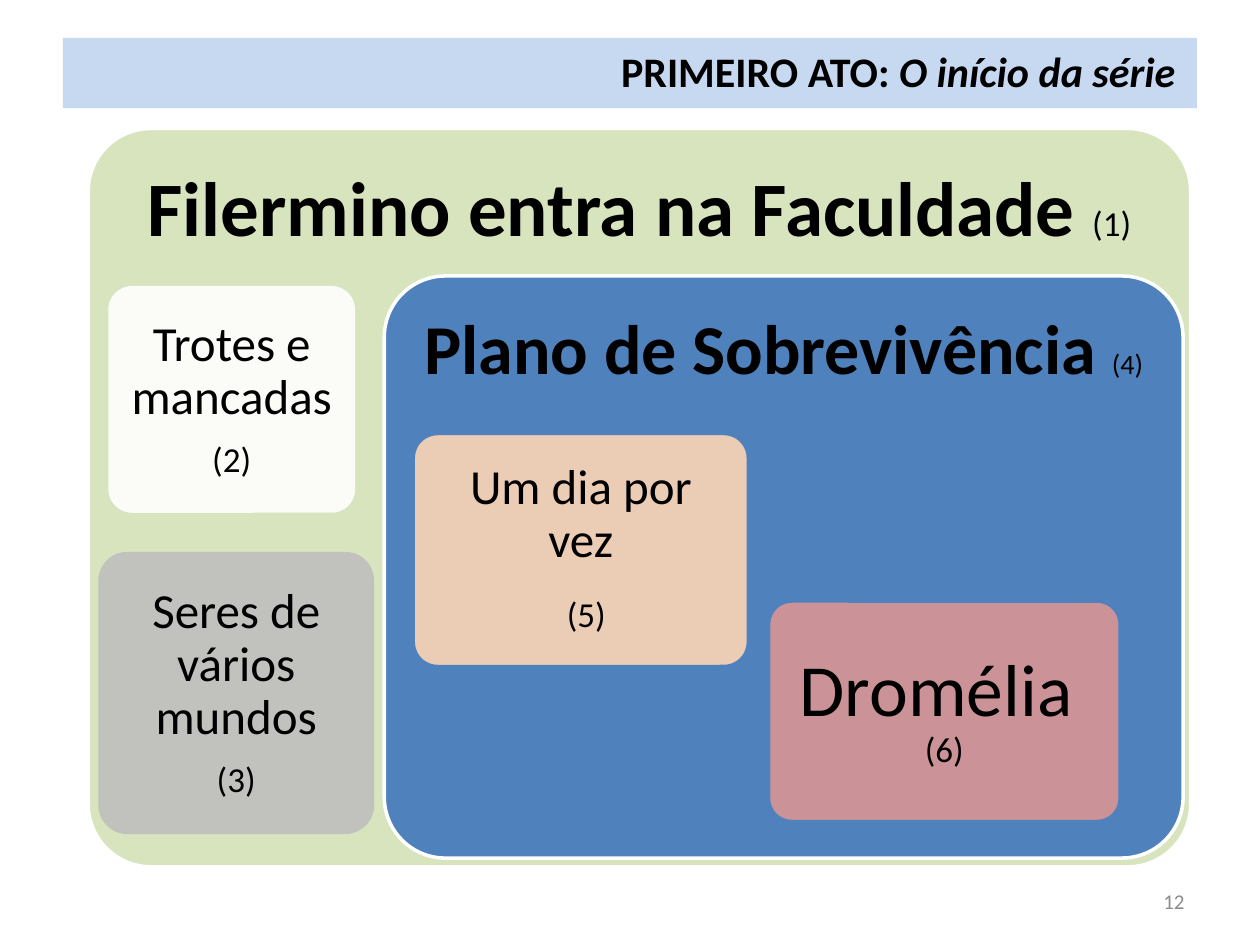
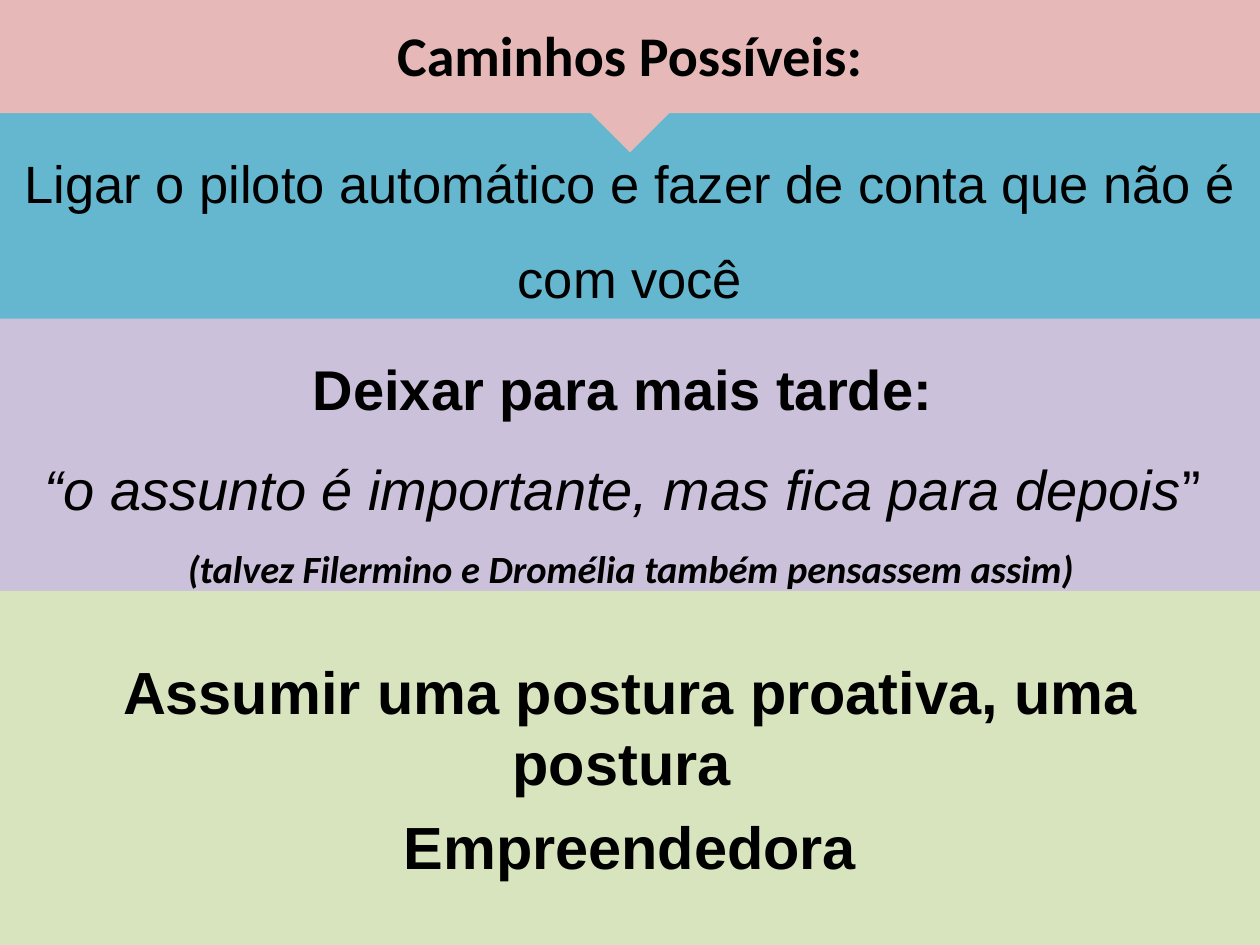
from pptx import Presentation
from pptx.dml.color import RGBColor
from pptx.enum.shapes import MSO_SHAPE as Kind
from pptx.enum.text import MSO_ANCHOR as Anchor, PP_ALIGN as Align
from pptx.oxml.ns import qn
from pptx.util import Pt
from lxml.etree import SubElement

SCALE = 9144
BLACK, WHITE, GREEN, BLUE = "000000", "FFFFFF", "D7E4BD", "4F81BD"


def px(n):
    return n * SCALE


def color(code):
    return RGBColor.from_string(code)


class Deck:
    font = "Calibri"
    wide, high = 1000, 750

    def __init__(self):
        self.prs = Presentation()
        self.prs.slide_width = px(self.wide)
        self.prs.slide_height = px(self.high)

    def page(self):
        self.slide = self.prs.slides.add_slide(self.prs.slide_layouts[6])

    def shape(self, kind, box, fill, line=None, alpha=None, adj=()):
        item = self.slide.shapes.add_shape(kind, *map(px, box))
        item.shadow.inherit = False
        item.fill.solid()
        item.fill.fore_color.rgb = color(fill)
        if alpha:
            tone = item.fill._xPr.find(qn("a:solidFill"))[0]
            SubElement(tone, qn("a:alpha")).set("val", str(alpha * 1000))
        if line:
            item.line.color.rgb = color(line)
            item.line.width = Pt(2)
        else:
            item.line.fill.background()
        for i, part in enumerate(adj):
            item.adjustments[i] = part
        return item

    def text(self, item, paras, pad=(10, 5, 10, 5), align=Align.CENTER,
             anchor=Anchor.MIDDLE, font=None, ink=BLACK, lead=None,
             before=0, after=0):
        frame = item.text_frame
        frame.word_wrap = True
        frame.vertical_anchor = anchor
        (frame.margin_left, frame.margin_top,
         frame.margin_right, frame.margin_bottom) = map(px, pad)
        for i, runs in enumerate(paras):
            para = frame.add_paragraph() if i else frame.paragraphs[0]
            para.alignment = align
            para.space_before, para.space_after = Pt(before), Pt(after)
            if lead:
                para.line_spacing = lead
            for words, size, style, *face in runs:
                run = para.add_run()
                run.text = words
                run.font.size = Pt(size)
                run.font.bold = "b" in style
                run.font.italic = "i" in style
                run.font.name = face[0] if face else font or self.font
                run.font.color.rgb = color(ink)

    def band(self, top, high, fill, paras, **look):
        item = self.shape(Kind.RECTANGLE, (0, top, self.wide, high), fill)
        self.text(item, paras, **look)

    def title(self, runs):
        item = self.shape(Kind.RECTANGLE, (50, 30, 900, 56), "C6D9F1")
        self.text(item, [runs], pad=(10, 3, 17, 6), align=Align.RIGHT)

    def panel(self, box, fill, runs, pad, adj):
        item = self.shape(Kind.ROUNDED_RECTANGLE, box, fill, WHITE, adj=[adj])
        self.text(item, [runs], pad=[pad] * 4, anchor=Anchor.TOP, lead=0.9)

    def card(self, box, fill, paras, pad=11, line=None):
        item = self.shape(Kind.ROUNDED_RECTANGLE, box, fill, line, 90, [0.105])
        self.text(item, paras, pad=[pad] * 4, lead=0.9, after=10)

    def number(self, words):
        item = self.slide.shapes.add_textbox(*map(px, (717, 695, 233, 40)))
        self.text(item, [[(words, 12, "")]], align=Align.RIGHT, ink="8C8C8C")


def acts(deck):
    deck.page()
    deck.number("12")
    deck.title([("PRIMEIRO ATO: ", 24, "b"), ("O início da série", 24, "bi")])
    deck.panel((70, 102, 875, 586), GREEN,
               [("Filermino entra na Faculdade", 44, "b"), (" ", 40, "b"),
                ("(1)", 20, "")], 18, 0.085)
    deck.card((86, 227, 196, 180), WHITE,
              [[("Trotes e mancadas", 28, "")], [("(2)", 20, "")]])
    deck.card((78, 438, 219, 224), "BFBFBF",
              [[("Seres de vários mundos", 28, "")], [("(3)", 20, "")]])
    deck.panel((305, 219, 634, 462), BLUE,
               [("Plano de Sobrevivência ", 40, "b"), ("(4)", 16, "")],
               16, 0.105)
    deck.card((328, 344, 266, 185), "FCD5B5",
              [[("Um dia por vez", 28, "")],
               [(" ", 28, ""), ("(5)", 20, "")]], 13, BLUE)
    deck.card((610, 477, 279, 175), "D99694",
              [[("Dromélia  ", 42, ""), ("(6)", 20, "")]], 17, BLUE)


def paths(deck):
    deck.page()
    deck.band(86, 168, "64B7CE",
              [[("Ligar o piloto automático e fazer de conta que não é "
                 "com você", 30, "")]], font="Arial", lead=1.5)
    deck.band(253, 216, "CCC1DA",
              [[("Deixar para mais tarde: ", 32, "b")],
               [("“o assunto é importante, mas fica para depois", 32, "i"),
                ("” ", 32, "")],
               [("(talvez Filermino e Dromélia também pensassem assim)",
                 22, "bi", "Calibri")]],
              pad=(11, 6, 10, 4), font="Arial", lead=1.5)
    head = deck.shape(Kind.DOWN_ARROW_CALLOUT, (0, -4, deck.wide, 125),
                      "E6B9B8", adj=[0.25, 0.25, 0.25, 0.75])
    deck.text(head, [[("Caminhos Possíveis:", 32, "b")]])
    deck.band(469, 281, GREEN,
              [[("Assumir uma postura proativa, uma postura ", 34, "b")],
               [("Empreendedora", 34, "b")]], font="Arial", before=7)


def main():
    deck = Deck()
    acts(deck)
    paths(deck)
    deck.prs.save("out.pptx")


if __name__ == "__main__":
    main()
